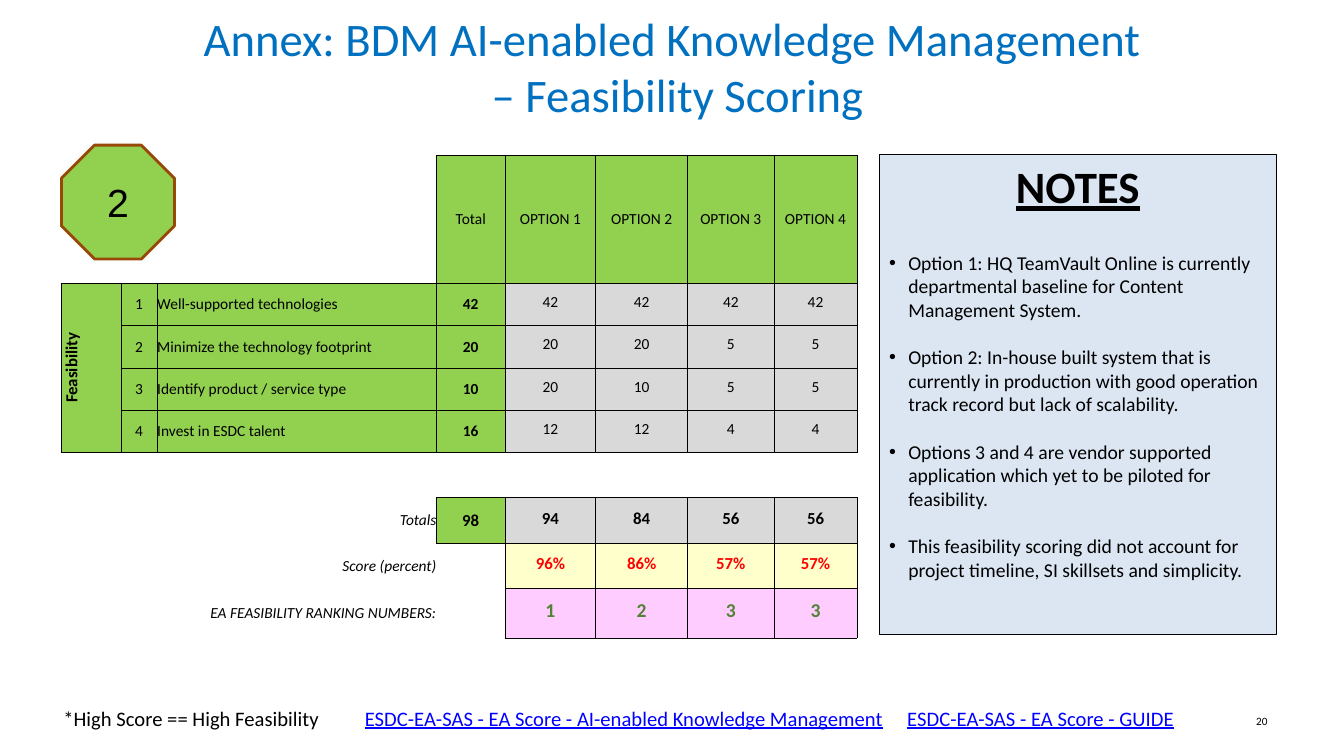
from lxml import etree
from pptx import Presentation
from pptx.dml.color import RGBColor
from pptx.enum.shapes import MSO_SHAPE
from pptx.enum.text import MSO_ANCHOR, PP_ALIGN
from pptx.oxml.ns import qn
from pptx.util import Pt

PX = 9144  # 100 px to the inch
LEFT, MID, RIGHT = PP_ALIGN.LEFT, PP_ALIGN.CENTER, PP_ALIGN.RIGHT
TOP, CENTER = MSO_ANCHOR.TOP, MSO_ANCHOR.MIDDLE
RECT, OCTAGON = MSO_SHAPE.RECTANGLE, MSO_SHAPE.OCTAGON

HUES = {
    "black": "000000", "title": "0070C0", "link": "0000FF", "green": "92D050",
    "grey": "D9D9D9", "cream": "FFFFCC", "pink": "FFCCFF", "red": "FF0000",
    "rank": "548235", "brown": "984807", "pale": "DCE6F2",
}
RGB = {name: RGBColor.from_string(code) for name, code in HUES.items()}


def style(para, size, hue="black", align=LEFT, bold=False, face="Calibri"):
    para.alignment = align
    font = para.font
    font.name, font.size, font.bold = face, Pt(size), bold
    font.color.rgb = RGB[hue]
    return font


def place(box, kind=None, fill=None, line=None, width=1, anchor=TOP):
    box = [n * PX for n in box]
    if kind is None:
        shape = slide.shapes.add_textbox(*box)
    else:
        shape = slide.shapes.add_shape(kind, *box)
        shape.shadow.inherit = False
        shape.fill.solid()
        shape.fill.fore_color.rgb = RGB[fill]
        shape.line.color.rgb = RGB[line]
        shape.line.width = Pt(width)
    frame = shape.text_frame
    frame.word_wrap = True
    frame.vertical_anchor = anchor
    return frame


deck = Presentation()
deck.slide_width, deck.slide_height = 1333 * PX, 750 * PX
slide = deck.slides.add_slide(deck.slide_layouts[6])

# Title
para = place((67, 15, 1200, 101), anchor=CENTER).paragraphs[0]
para.text = "Annex: BDM AI-enabled Knowledge Management\v – Feasibility Scoring"
style(para, 33.3, "title", MID)

# Footer
FOOT = [
    (53, 464, "*High Score == High Feasibility", "black"),
    (352, 538, "ESDC-EA-SAS - EA Score - AI-enabled Knowledge Management", "link"),
    (890, 363, "ESDC-EA-SAS - EA Score - GUIDE", "link"),
]
for x, wide, text, hue in FOOT:
    para = place((x, 695, wide, 35)).paragraphs[0]
    para.text = text
    style(para, 14.7, hue).underline = hue == "link"
para = place((956, 695, 311, 40), anchor=CENTER).paragraphs[0]
para.text = "20"
style(para, 8, align=RIGHT)

# Score table
COLS = [59, 36, 277, 68, 90, 91, 86, 82]
ROWS = [127, 42, 42, 42, 42, 45, 45, 45, 49]
DATA = [
    ["", "", "", "Total", "OPTION 1", "OPTION 2", "OPTION 3", "OPTION 4"],
    ["Feasibility", "1", "Well-supported technologies", "42", "42", "42", "42", "42"],
    ["", "2", "Minimize the technology footprint", "20", "20", "20", "5", "5"],
    ["", "3", "Identify product / service type", "10", "20", "10", "5", "5"],
    ["", "4", "Invest in ESDC talent", "16", "12", "12", "4", "4"],
    [""] * 8,
    ["", "", "Totals", "98", "94", "84", "56", "56"],
    ["", "", "Score (percent)", "", "96%", "86%", "57%", "57%"],
    ["", "", "EA FEASIBILITY RANKING NUMBERS:", "", "1", "2", "3", "3"],
]
# Fill of each cell: g green, d grey, c cream, p pink
FILLS = ["   ggggg"] + ["ggggdddd"] * 4 + [" " * 8, "   gdddd", "    cccc", "    pppp"]
KEYS = {"g": "green", "d": "grey", "c": "cream", "p": "pink"}
SUMS = {6: (12, "black"), 7: (12, "red"), 8: (14, "rank")}
EDGES = [("a:lnL", 0, -1), ("a:lnR", 0, 1), ("a:lnT", -1, 0), ("a:lnB", 1, 0)]

frame = slide.shapes.add_table(9, 8, 61 * PX, 154 * PX, sum(COLS) * PX, sum(ROWS) * PX)
table = frame.table
table.first_row = table.horz_banding = False
for col, wide in zip(table.columns, COLS):
    col.width = wide * PX
for row, high in zip(table.rows, ROWS):
    row.height = high * PX
table.cell(1, 0).merge(table.cell(4, 0))

for r, texts in enumerate(DATA):
    for c, text in enumerate(texts):
        cell = table.cell(r, c)
        para = cell.text_frame.paragraphs[0]
        para.text = text
        score = c > 3 and r > 0
        pad = PX if score else 0
        cell.margin_left = cell.margin_right = cell.margin_top = pad
        cell.margin_bottom = 5 * pad
        cell.vertical_anchor = CENTER

        label = c == 2
        size, hue = (11, "black") if label else SUMS.get(r, (11, "black"))
        align = MID
        if label:
            align = RIGHT if r > 5 else LEFT
        side = text == "Feasibility"
        bold = side or (c == 3 and r > 0) or (c > 3 and r > 5)
        font = style(para, 12 if side else size, hue, align, bold)
        font.italic = label and r > 5

        # An edge is drawn where it touches a filled cell
        props = cell._tc.get_or_add_tcPr()
        if side:
            props.set("vert", "vert270")
        for tag, down, right in EDGES:
            y, x = r + down, c + right
            near = FILLS[y][x] if 0 <= y < 9 and 0 <= x < 8 else " "
            line = etree.SubElement(props, qn(tag), w="6350")
            if FILLS[r][c] + near != "  ":
                ink = etree.SubElement(line, qn("a:solidFill"))
                etree.SubElement(ink, qn("a:srgbClr"), val=HUES["black"])
            else:
                etree.SubElement(line, qn("a:noFill"))
        if FILLS[r][c] == " ":
            cell.fill.background()
        else:
            cell.fill.solid()
            cell.fill.fore_color.rgb = RGB[KEYS[FILLS[r][c]]]

# Step badge
para = place((61, 144, 112, 113), OCTAGON, "green", "brown", 2, CENTER).paragraphs[0]
para.text = "2"
style(para, 28, align=MID, face="Arial")

# Notes panel
NOTES = [
    "Option 1: HQ TeamVault Online is currently departmental baseline for "
    "Content Management System.",
    "Option 2: In-house built system that is currently in production with good "
    "operation track record but lack of scalability.",
    "Options 3 and 4 are vendor supported application which yet to be piloted "
    "for feasibility.",
    "This feasibility scoring did not account for project timeline, SI skillsets "
    "and simplicity.",
]
notes = place((872, 153, 394, 477), RECT, "pale", "black", 0.75)
para = notes.paragraphs[0]
para.text = "NOTES"
style(para, 32, align=MID, bold=True).underline = True
for i, text in enumerate(NOTES):
    para = notes.add_paragraph()
    para.text = text
    para.space_before = Pt(17 if i else 27)
    props = para._p.get_or_add_pPr()
    props.set("marL", str(19 * PX))
    props.set("indent", str(-19 * PX))
    etree.SubElement(props, qn("a:buFont"), typeface="Arial")
    etree.SubElement(props, qn("a:buChar"), char="•")
    style(para, 14)

deck.save("out.pptx")
